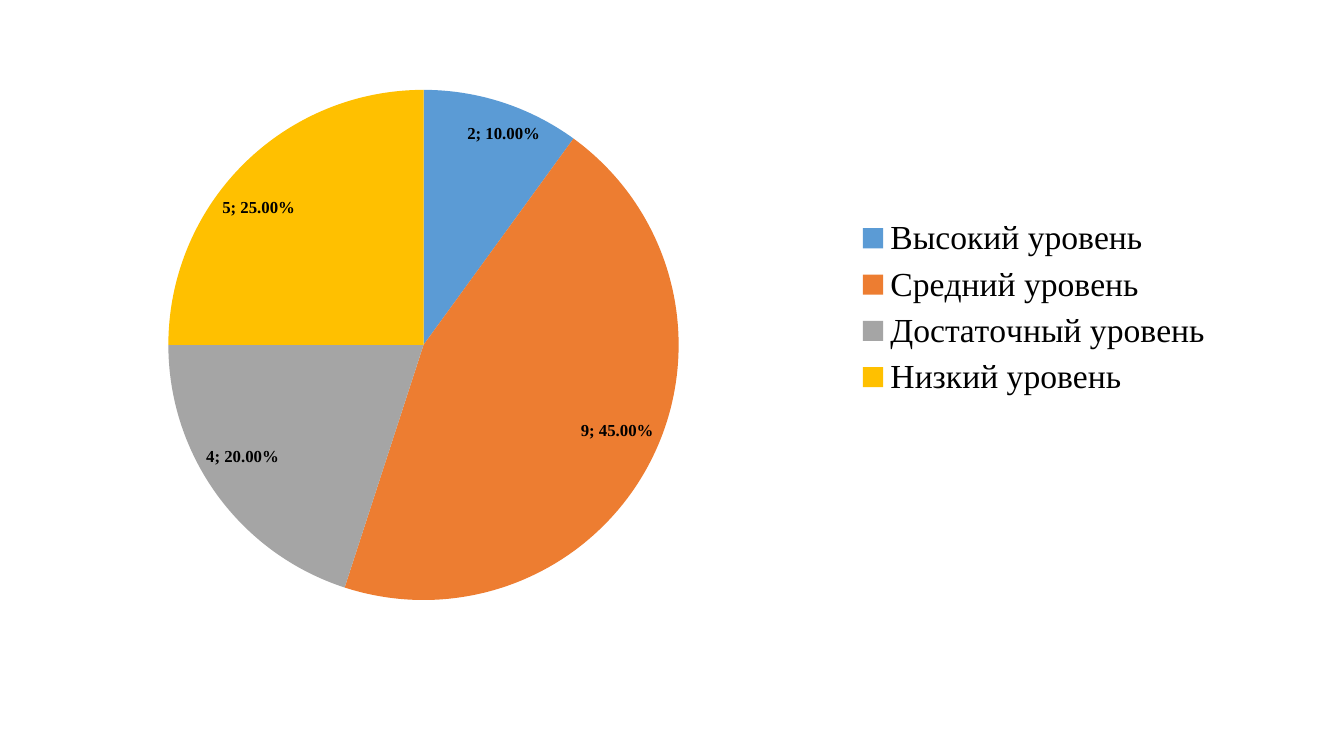
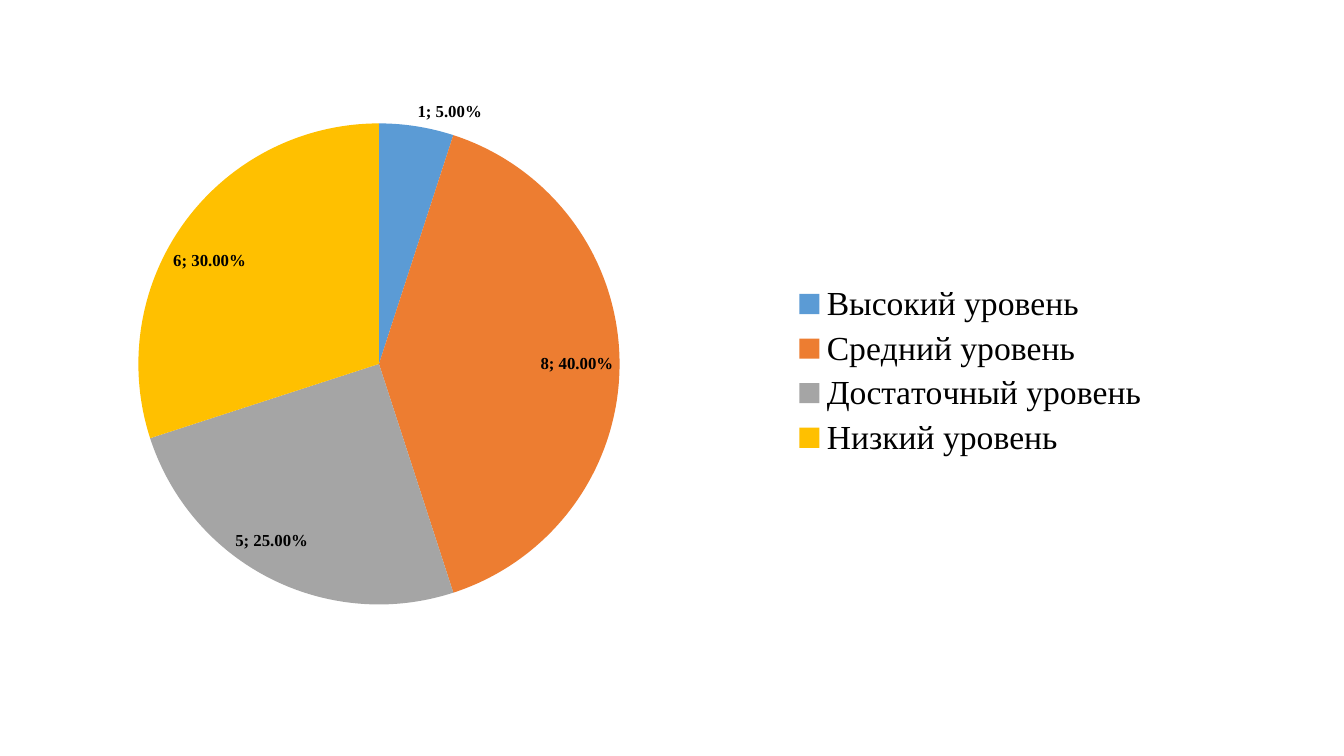
from dataclasses import dataclass

from lxml import etree
from pptx import Presentation
from pptx.chart.data import CategoryChartData
from pptx.dml.color import RGBColor
from pptx.enum.chart import XL_CHART_TYPE, XL_LABEL_POSITION, XL_LEGEND_POSITION
from pptx.oxml.ns import qn
from pptx.util import Inches, Pt

PIE = XL_CHART_TYPE.PIE
BEST = XL_LABEL_POSITION.BEST_FIT
RIGHT = XL_LEGEND_POSITION.RIGHT


@dataclass(frozen=True)
class Theme:
    font: str = "Times New Roman"
    ink: str = "000000"
    paper: str = "FFFFFF"
    slices: tuple = ("5B9BD5", "ED7D31", "A5A5A5", "FFC000")
    label: int = 12
    legend: int = 24


THEME = Theme()
LEVELS = ("Высокий уровень", "Средний уровень", "Достаточный уровень", "Низкий уровень")
PLOT = (0.057, 0.044, 0.444, 0.889)
SLIDES = (
    ((1.02, 0.58, 11.4, 5.82), (2, 9, 4, 5), (0.65, 0.26, 0.32, 0.33)),
    ((0.76, 0.67, 10.75, 6.02), (1, 8, 5, 6), None),
)


def style(font, size, bold=False):
    font.name = THEME.font
    font.size = Pt(size)
    font.bold = bold
    font.color.rgb = RGBColor.from_string(THEME.ink)


def arrange(part, index, box, inner=False):
    for old in part.findall(qn("c:layout")):
        part.remove(old)
    layout = etree.Element(qn("c:layout"))
    manual = etree.SubElement(layout, qn("c:manualLayout"))
    rules = [("layoutTarget", "inner")] if inner else []
    rules += [("xMode", "edge"), ("yMode", "edge"), *zip("xywh", box)]
    for tag, value in rules:
        etree.SubElement(manual, qn(f"c:{tag}")).set("val", str(value))
    part.insert(index, layout)


def add_labels(plot):
    plot.has_data_labels = True
    labels = plot.data_labels
    style(labels.font, THEME.label, True)
    labels.number_format = "0.00%"
    labels.number_format_is_linked = False
    labels.show_value = True
    labels.show_percentage = True
    labels.position = BEST
    mark = etree.Element(qn("c:separator"))
    mark.text = "; "
    labels._element.find(qn("c:showBubbleSize")).addnext(mark)


def add_legend(chart, box):
    chart.has_legend = True
    legend = chart.legend
    legend.position = RIGHT
    legend.include_in_layout = False
    style(legend.font, THEME.legend)
    if box:
        arrange(legend._element, 1, box)


def add_pie(slide, box, values, key):
    data = CategoryChartData()
    data.categories = LEVELS
    data.add_series("Series 1", values)
    chart = slide.shapes.add_chart(PIE, *map(Inches, box), data).chart
    chart.has_title = False
    style(chart.font, THEME.label)
    plot = chart.plots[0]
    plot.vary_by_categories = True
    for i, color in enumerate(THEME.slices):
        fill = plot.series[0].points[i].format.fill
        fill.solid()
        fill.fore_color.rgb = RGBColor.from_string(color)
    add_labels(plot)
    add_legend(chart, key)
    arrange(chart._chartSpace.find(".//" + qn("c:plotArea")), 0, PLOT, True)


def main():
    deck = Presentation()
    deck.slide_width = Inches(13.33)
    deck.slide_height = Inches(7.5)
    for box, values, key in SLIDES:
        slide = deck.slides.add_slide(deck.slide_layouts[6])
        fill = slide.background.fill
        fill.solid()
        fill.fore_color.rgb = RGBColor.from_string(THEME.paper)
        add_pie(slide, box, values, key)
    deck.save("out.pptx")


if __name__ == "__main__":
    main()
